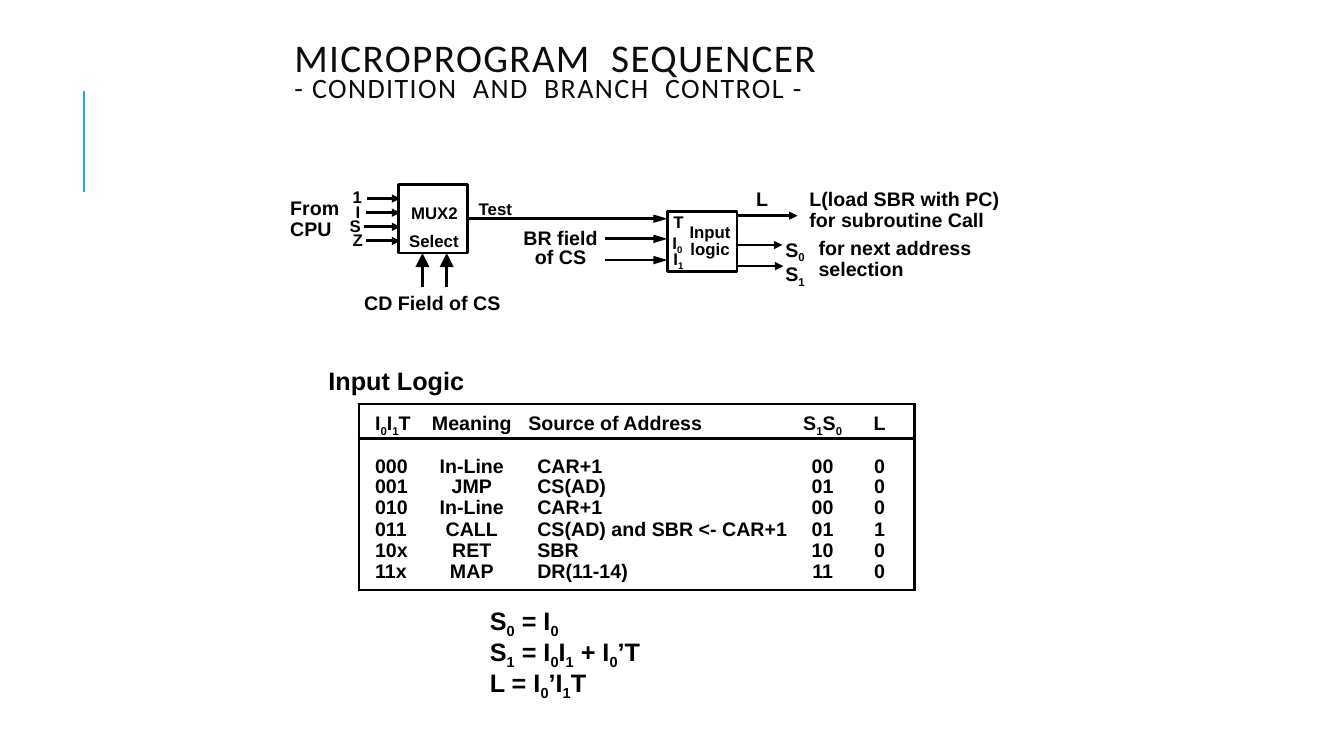
from lxml import etree
from pptx import Presentation
from pptx.dml.color import RGBColor
from pptx.enum.shapes import MSO_CONNECTOR as CONNECTOR, MSO_SHAPE as SHAPE
from pptx.enum.text import MSO_ANCHOR as ANCHOR, PP_ALIGN as ALIGN
from pptx.oxml.ns import qn
from pptx.util import Pt

BLACK = RGBColor(0x00, 0x00, 0x00)
TITLE_INK = RGBColor(0x0D, 0x0D, 0x0D)
ACCENT = RGBColor(0x1C, 0xAD, 0xE4)
LINE_WEIGHT = 2


def px(length):
    """100 px to the inch."""
    return length * 9144


def write(frame, text, size=12, font="Arial", color=BLACK, bold=True,
          align=ALIGN.LEFT, spacing=0.9, tracking=0):
    """Fill a text frame; an underscore lowers the character after it."""
    for index, line in enumerate(text.split("\n")):
        paragraph = frame.paragraphs[0] if index == 0 else frame.add_paragraph()
        paragraph.alignment = align
        paragraph.line_spacing = spacing
        first, *rest = line.split("_")
        pieces = [(first, False)]
        for part in rest:
            pieces += [(part[0], True), (part[1:], False)]
        for piece, lowered in pieces:
            if not piece:
                continue
            run = paragraph.add_run()
            run.text = piece
            run.font.size = Pt(size)
            run.font.name = font
            run.font.bold = bold
            run.font.color.rgb = color
            properties = run._r.get_or_add_rPr()
            if lowered:
                properties.set("baseline", "-25000")
            if tracking:
                properties.set("spc", str(tracking * 100))


def add_text(slide, text, left, top, width, height, wrap=False,
             insets=(10, 5), **text_format):
    shape = slide.shapes.add_textbox(px(left), px(top), px(width), px(height))
    frame = shape.text_frame
    frame.word_wrap = wrap
    frame.margin_left = frame.margin_right = px(insets[0])
    frame.margin_top = frame.margin_bottom = px(insets[1])
    write(frame, text, **text_format)
    return shape


def add_box(slide, left, top, width, height):
    shape = slide.shapes.add_shape(SHAPE.RECTANGLE, px(left), px(top),
                                   px(width), px(height))
    shape.shadow.inherit = False
    shape.fill.background()
    shape.line.color.rgb = BLACK
    shape.line.width = Pt(LINE_WEIGHT)
    return shape


def add_line(slide, x1, y1, x2, y2, color=BLACK, weight=LINE_WEIGHT, head=None):
    """Draw a line; head is the (width, length) of an arrowhead at its end."""
    line = slide.shapes.add_connector(CONNECTOR.STRAIGHT,
                                      px(x1), px(y1), px(x2), px(y2))
    line.line.color.rgb = color
    line.line.width = Pt(weight)
    if head:
        etree.SubElement(line.line._get_or_add_ln(), qn("a:tailEnd"),
                         type="triangle", w=head[0], len=head[1])
    etree.SubElement(line._element.spPr, qn("a:effectLst"))
    return line


def add_title(slide, left, top, width, height):
    add_line(slide, 83, 90, 83, 190, color=ACCENT, weight=1.5)
    title = add_text(slide, "MICROPROGRAM  SEQUENCER\n- CONDITION  AND  BRANCH  CONTROL -",
                     left, top, width, height, wrap=True, insets=(7, 3), size=28,
                     font="Calibri", color=TITLE_INK, bold=False, spacing=0.7, tracking=1)
    title.text_frame.paragraphs[1].runs[0].font.size = Pt(20)


def add_multiplexer(slide, left, top, width, height):
    box = add_box(slide, left, top, width, height)
    add_text(slide, "MUX2", left + 3, top + 15, 67, 28)
    add_text(slide, "Select", left + 1, top + 43, 69, 28)
    # Inputs from the CPU
    add_text(slide, "From\nCPU", left - 117, top + 9, 75, 52, size=14)
    inputs = [("1", 55, 29, 31), ("I", 52, 25, 32), ("S", 58, 31, 34), ("Z", 55, 30, 32)]
    for index, (name, offset, label_width, reach) in enumerate(inputs):
        step = index * 14
        add_text(slide, name, left - offset, top + step, label_width, 28)
        add_line(slide, left - reach, top + 14 + step, left + 2, top + 14 + step,
                 head=("med", "med"))
    # Select lines
    for x in (left + 24, left + 48):
        add_line(slide, x, top + 102, x, top + height, head=("lg", "lg"))
    add_text(slide, "CD Field of CS", left - 44, top + 103, 156, 31,
             size=14, align=ALIGN.CENTER)
    return box


def add_input_logic(slide, left, top, width, height):
    add_box(slide, left, top, width, height)
    labels = [("Input", 12, 7, 61), ("logic", 13, 24, 59), ("T", -4, -3, 30),
              ("I_0", -5, 16, 31), ("I_1", -4, 32, 31)]
    for name, x, y, label_width in labels:
        add_text(slide, name, left + x, top + y, label_width, 28)
    # Branch field inputs
    for y in (27, 48):
        add_line(slide, left - 62, top + y, left, top + y, head=("med", "lg"))
    add_text(slide, "BR field\nof CS", left - 153, top + 14, 94, 48, size=14,
             align=ALIGN.CENTER, spacing=0.8)
    # Outputs
    right = left + width
    for y, length in ((4, 60), (33, 45), (54, 46)):
        add_line(slide, right, top + y, right + length, top + y, head=("med", "med"))
    add_text(slide, "L", right + 9, top - 27, 32, 31, size=14)
    add_text(slide, "L(load SBR with PC) for subroutine Call",
             right + 62, top - 27, 222, 52, wrap=True, size=14)
    add_text(slide, "S_0\nS_1", right + 38, top + 21, 40, 52, size=14)
    add_text(slide, "for next address\nselection", right + 71, top + 22, 172, 52, size=14)


def set_borders(cell, sides):
    """Draw the named sides of a cell and clear the others."""
    properties = cell._tc.get_or_add_tcPr()
    for index, side in enumerate("LRTB"):
        border = etree.Element(qn("a:ln" + side), w=str(Pt(LINE_WEIGHT)))
        if side in sides:
            fill = etree.SubElement(border, qn("a:solidFill"))
            etree.SubElement(fill, qn("a:srgbClr"), val=str(BLACK))
        else:
            etree.SubElement(border, qn("a:noFill"))
        properties.insert(index, border)


def add_truth_table(slide, left, top):
    add_text(slide, "Input Logic", left - 40, top - 40, 156, 37, size=18)
    rows = [
        ("I_0I_1T", "Meaning", "Source of Address", "S_1S_0", "L"),
        ("000", "In-Line", "CAR+1", "00", "0"),
        ("001", "JMP", "CS(AD)", "01", "0"),
        ("010", "In-Line", "CAR+1", "00", "0"),
        ("011", "CALL", "CS(AD) and SBR <- CAR+1", "01", "1"),
        ("10x", "RET", "SBR", "10", "0"),
        ("11x", "MAP", "DR(11-14)", "11", "0"),
    ]
    widths = [64, 96, 266, 68, 57]
    heights = [34, 39, 21, 21, 21, 21, 27]
    table = slide.shapes.add_table(len(rows), len(widths), px(left), px(top),
                                   px(sum(widths)), px(sum(heights))).table
    table.first_row = table.horz_banding = False
    for column, width in zip(table.columns, widths):
        column.width = px(width)
    last_row, last_column = len(rows) - 1, len(widths) - 1
    for r, (row, height) in enumerate(zip(rows, heights)):
        table.rows[r].height = px(height)
        for c, value in enumerate(row):
            cell = table.cell(r, c)
            cell.fill.background()
            cell.margin_left = px((16, 0, 17 if r else 8, 0, 0)[c])
            cell.margin_right = px(12 if c == last_column else 0)
            cell.margin_top = px(0 if r else 6)
            cell.margin_bottom = 0
            cell.vertical_anchor = (ANCHOR.MIDDLE if r == 0 else
                                    ANCHOR.BOTTOM if r == 1 else ANCHOR.TOP)
            write(cell.text_frame, value, size=14,
                  align=ALIGN.LEFT if c in (0, 2) else ALIGN.CENTER)
            set_borders(cell, ("L" if c == 0 else "") + ("R" if c == last_column else "")
                        + ("T" if r in (0, 1) else "") + ("B" if r in (0, last_row) else ""))


def add_equations(slide, left, top, width, height):
    add_text(slide, "S_0 = I_0\nS_1 = I_0I_1 + I_0’T\nL = I_0’I_1T",
             left, top, width, height, size=18)


def main():
    presentation = Presentation()
    presentation.slide_width, presentation.slide_height = px(1333), px(750)
    slide = presentation.slides.add_slide(presentation.slide_layouts[6])

    add_title(slide, 285, 43, 756, 105)
    multiplexer = add_multiplexer(slide, 395, 183, 69, 68)
    add_input_logic(slide, 662, 210, 69, 59)
    # Test line between the two blocks
    test = add_line(slide, 464, 217, 662, 217, head=("med", "lg"))
    test.begin_connect(multiplexer, 3)
    add_text(slide, "Test", 465, 194, 54, 28)
    add_truth_table(slide, 356, 401)
    add_equations(slide, 476, 596, 175, 92)

    presentation.save("out.pptx")


if __name__ == "__main__":
    main()
